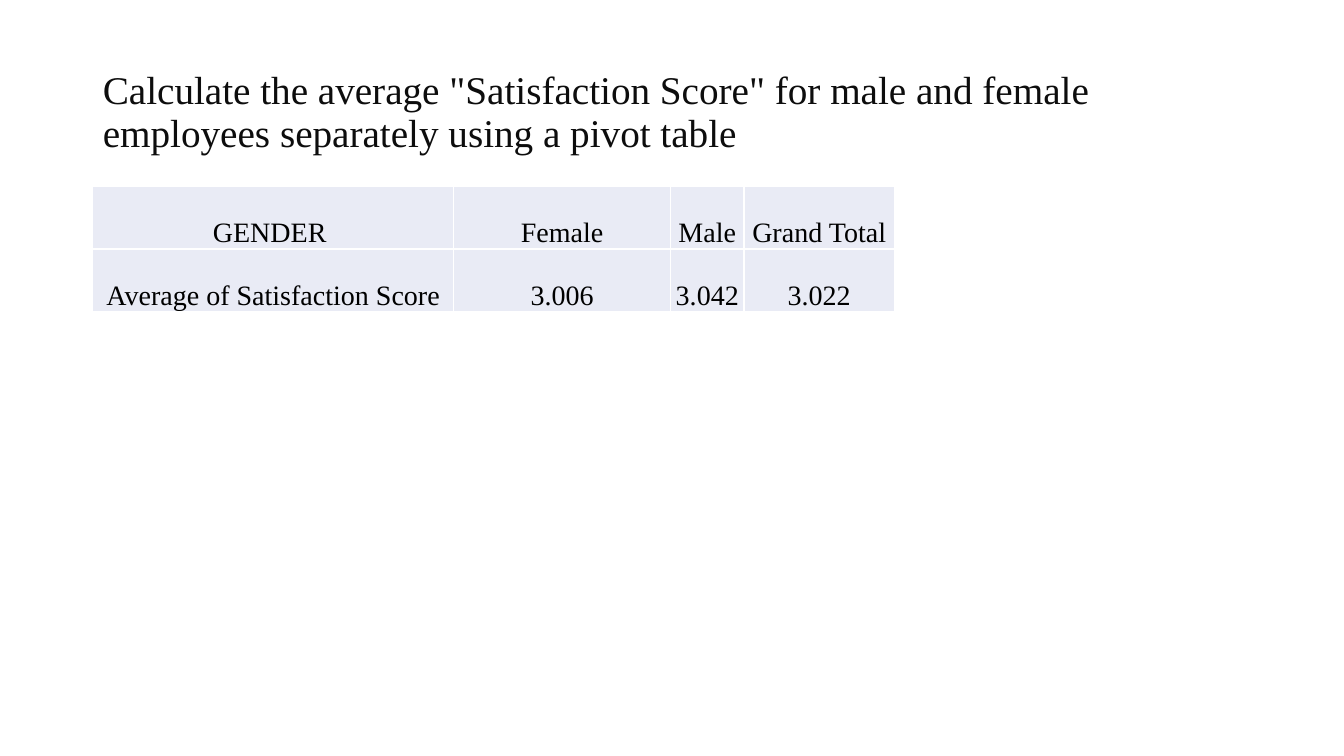
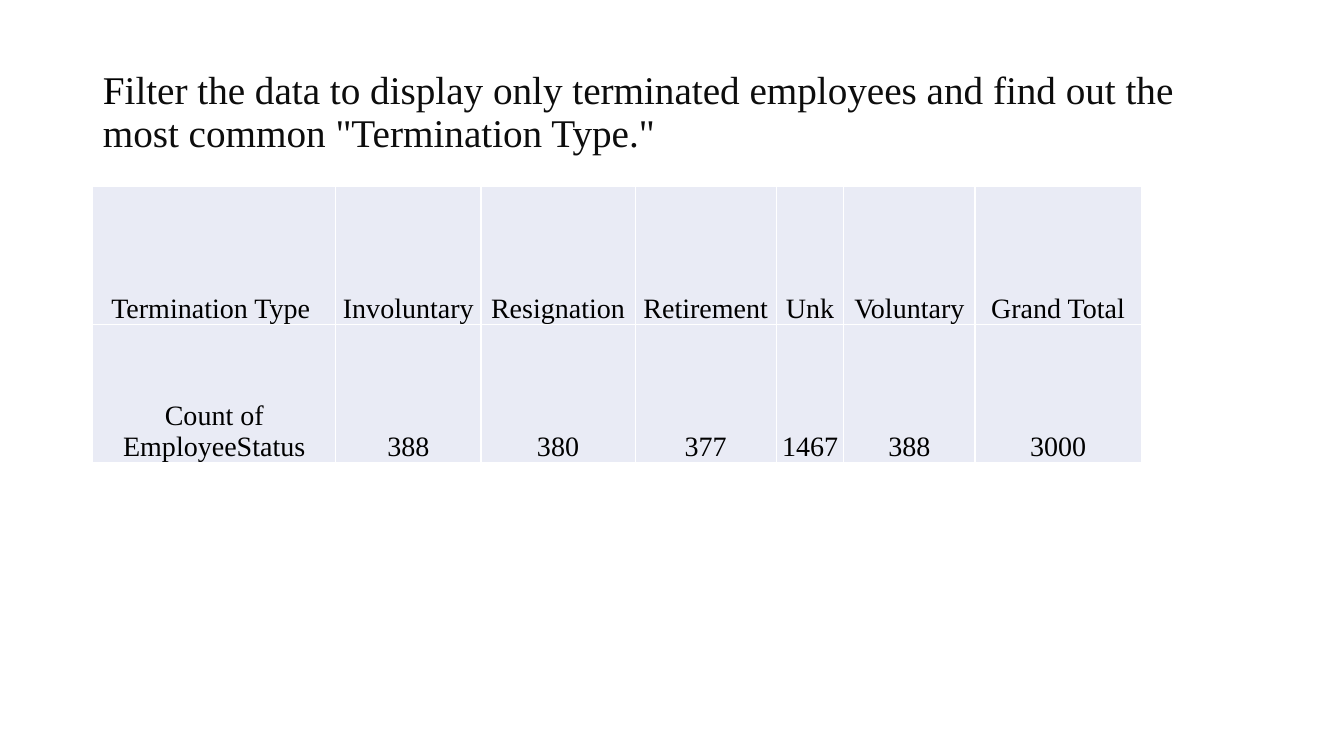
from dataclasses import dataclass

from lxml.etree import SubElement
from pptx import Presentation
from pptx.dml.color import RGBColor
from pptx.enum.text import MSO_ANCHOR, MSO_AUTO_SIZE, PP_ALIGN
from pptx.oxml.ns import qn
from pptx.util import Inches, Pt


@dataclass(frozen=True)
class Theme:
    font: str = "Times New Roman"
    title_size: int = 28
    table_size: int = 20
    border_width: int = 1
    background: str = "FFFFFF"
    title_ink: str = "0D0D0D"
    ink: str = "000000"
    cell: str = "E9EBF5"
    border: str = "FFFFFF"


def apply(target, formats):
    for name, value in formats.items():
        setattr(target, name, value)


class Deck:
    LEFT = Inches(0.92)
    TITLE_BOX = {"left": LEFT, "top": Inches(0.4),
                 "width": Inches(11.5), "height": Inches(1.45)}
    TITLE_FRAME = {"word_wrap": True, "auto_size": MSO_AUTO_SIZE.NONE,
                   "vertical_anchor": MSO_ANCHOR.MIDDLE}
    TITLE_PARAGRAPH = {"alignment": PP_ALIGN.LEFT, "line_spacing": 0.9}
    TABLE_TOP = Inches(1.85)
    TABLE_FLAGS = {"first_row": False, "horz_banding": False}
    CELL = {"vertical_anchor": MSO_ANCHOR.BOTTOM,
            "margin_left": Inches(0.01), "margin_top": Inches(0.01),
            "margin_right": Inches(0.01), "margin_bottom": 0}

    def __init__(self, theme):
        self.theme = theme
        self.presentation = Presentation()
        apply(self.presentation, {"slide_width": Inches(13.33),
                                  "slide_height": Inches(7.5)})
        self.slide = None

    def add_slide(self):
        layout = self.presentation.slide_layouts.get_by_name("Title Only")
        self.slide = self.presentation.slides.add_slide(layout)
        background = self.slide.background.fill
        background.solid()
        background.fore_color.rgb = RGBColor.from_string(self.theme.background)

    def add_run(self, paragraph, text, size, color):
        run = paragraph.add_run()
        run.text = text
        apply(run.font, {"name": self.theme.font, "size": Pt(size)})
        run.font.color.rgb = RGBColor.from_string(color)

    def add_title(self, *runs):
        """Fill the title from (text, color) pairs."""
        title = self.slide.shapes.title
        apply(title, self.TITLE_BOX)
        apply(title.text_frame, self.TITLE_FRAME)
        paragraph = title.text_frame.paragraphs[0]
        apply(paragraph, self.TITLE_PARAGRAPH)
        for text, color in runs:
            self.add_run(paragraph, text, self.theme.title_size, color)

    def add_table(self, rows, column_widths, row_height):
        """Add a table; widths and height are in inches."""
        table = self.slide.shapes.add_table(
            len(rows), len(column_widths), self.LEFT, self.TABLE_TOP,
            Inches(sum(column_widths)), Inches(row_height * len(rows))).table
        apply(table, self.TABLE_FLAGS)
        for column, width in zip(table.columns, column_widths):
            column.width = Inches(width)
        for row, texts in zip(table.rows, rows):
            row.height = Inches(row_height)
            for cell, text in zip(row.cells, texts):
                self.fill_cell(cell, text)

    def fill_cell(self, cell, text):
        apply(cell, self.CELL)
        self.add_borders(cell)
        cell.fill.solid()
        cell.fill.fore_color.rgb = RGBColor.from_string(self.theme.cell)
        paragraph = cell.text_frame.paragraphs[0]
        paragraph.alignment = PP_ALIGN.CENTER
        self.add_run(paragraph, text, self.theme.table_size, self.theme.ink)

    def add_borders(self, cell):
        properties = cell._tc.get_or_add_tcPr()
        for side in ("a:lnL", "a:lnR", "a:lnT", "a:lnB"):
            line = SubElement(properties, qn(side),
                              w=str(Pt(self.theme.border_width)))
            fill = SubElement(line, qn("a:solidFill"))
            SubElement(fill, qn("a:srgbClr"), val=self.theme.border)


def main():
    theme = Theme()
    deck = Deck(theme)

    deck.add_slide()
    deck.add_title(
        ('Calculate the average "Satisfaction Score" for male and female '
         'employees separately using a pivot table', theme.title_ink))
    deck.add_table(
        [["GENDER ", "Female", "Male", "Grand Total"],
         ["Average of Satisfaction Score", "3.006", "3.042", "3.022"]],
        column_widths=[3.58, 2.15, 0.73, 1.49], row_height=0.62)

    deck.add_slide()
    deck.add_title(
        ("F", theme.ink),
        ('ilter the data to display only terminated employees and find out '
         'the most common "Termination Type."', theme.title_ink))
    deck.add_table(
        [["Termination Type ", "Involuntary", "Resignation", "Retirement",
          "Unk", "Voluntary", "Grand Total"],
         ["Count of EmployeeStatus", "388", "380", "377",
          "1467", "388", "3000"]],
        column_widths=[2.41, 1.44, 1.53, 1.4, 0.67, 1.3, 1.65],
        row_height=1.37)

    deck.presentation.save("out.pptx")


if __name__ == "__main__":
    main()
